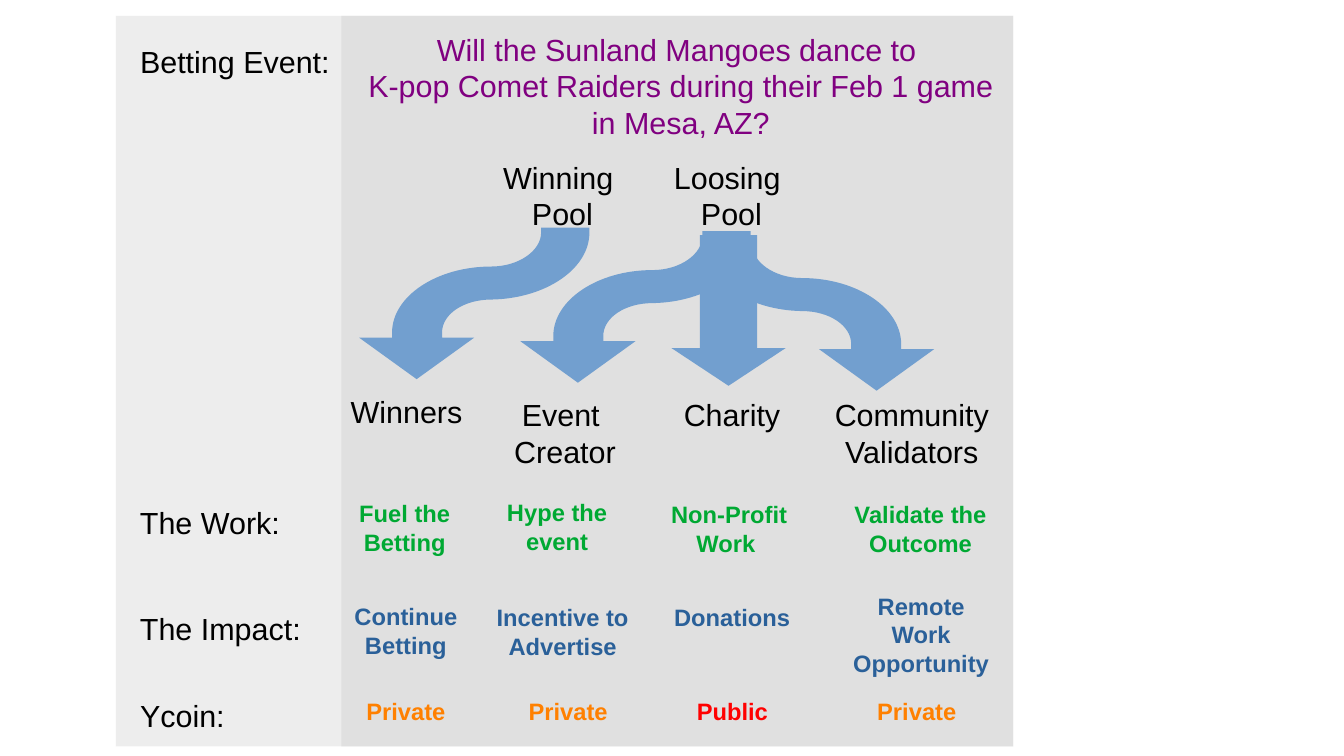
from dataclasses import dataclass

import pptx
import pptx.dml.color
import pptx.enum.shapes
import pptx.enum.text
import pptx.oxml
import pptx.oxml.ns
import pptx.util

Pt = pptx.util.Pt
qn = pptx.oxml.ns.qn
SHAPE = pptx.enum.shapes.MSO_SHAPE
ALIGN = pptx.enum.text.PP_ALIGN

COLORS = {
    "panel": "DDDDDD", "arrow": "729FCF", "black": "000000", "question": "800080",
    "work": "00A933", "impact": "2A6099", "private": "FF8000", "public": "FF0000",
}


@dataclass
class Panel:
    left: float
    width: float
    opacity: int


@dataclass
class CurvedArrow:
    outer: float  # x of the outer edge of the head
    top: float
    direction: int  # 1: stem right of the head, -1: stem left of it


@dataclass
class Style:
    size: int
    bold: bool = False
    wrap: bool = False
    centred: bool = True


@dataclass
class Label:
    left: float
    top: float
    width: float
    height: float
    text: str
    style: Style
    color: str = "black"


ROW = Style(18, centred=False)
HEADING = Style(18)
QUESTION = Style(18, wrap=True)
CELL = Style(14, bold=True, wrap=True)

PANELS = [Panel(68.4, 530, 50), Panel(201.6, 396.8, 80)]
CURVED_ARROWS = [
    CurvedArrow(551.7, 141.2, -1),
    CurvedArrow(307.3, 136.5, 1),
    CurvedArrow(212.1, 134.4, 1),
]

# One point makes a line, three a cubic curve; measured from the head's outer edge
ARROW_START = (19.5, 62)
ARROW_OUTLINE = [
    [(19.5, 40.5), (46, 23), (78, 23)],
    [(94.5, 23), (107.5, 13.5), (107.5, 3)],
    [(107.5, 0)], [(136, 0)], [(136, 3)],
    [(136, 24.5), (110, 42), (78, 42.5)],
    [(62, 42.5), (49, 51), (49, 62)],
    [(49, 65)], [(68, 65)], [(34, 89.5)], [(0, 65)], [(19.5, 65)],
]

LABELS = [
    # Row names
    Label(75.6, 21.6, 134, 27.4, "Betting Event:", ROW),
    Label(75.6, 294.2, 105, 27.4, "The Work:", ROW),
    Label(75.6, 356.8, 117, 27.4, "The Impact:", ROW),
    Label(75.6, 408.2, 76, 27.4, "Ycoin:", ROW),
    # Question and pools
    Label(205.2, 14.6, 393.8, 67.7,
          "Will the Sunland Mangoes dance to \n"
          "K-pop Comet Raiders during their Feb 1 game in Mesa, AZ?", QUESTION, "question"),
    Label(282.2, 90.2, 100, 47.5, "Winning \nPool", HEADING),
    Label(382, 90.2, 100, 47.5, "Loosing \nPool", HEADING),
    # Recipients
    Label(190.1, 228.5, 100, 27.4, "Winners", HEADING),
    Label(283.7, 230.6, 100, 47.5, "Event \nCreator", HEADING),
    Label(382.3, 230.4, 100, 27.4, "Charity", HEADING),
    Label(478.5, 230.6, 120, 47.5, "Community\nValidators", HEADING),
    # The work
    Label(200.9, 291.2, 76.3, 38.9, "Fuel the Betting", CELL, "work"),
    Label(290.9, 290.6, 76.3, 38.9, "Hype the event", CELL, "work"),
    Label(387.4, 291.6, 86.4, 54, "Non-Profit Work ", CELL, "work"),
    Label(495.4, 291.6, 96.5, 54, "Validate the Outcome", CELL, "work"),
    # The impact
    Label(201.6, 352.1, 76.3, 38.9, "Continue Betting", CELL, "impact"),
    Label(283.7, 352.6, 97.2, 69.8, "Incentive to Advertise", CELL, "impact"),
    Label(383.8, 352.6, 97.2, 69.8, "Donations", CELL, "impact"),
    Label(495.4, 345.8, 97.2, 69.8, "Remote Work Opportunity", CELL, "impact"),
    # Visibility
    Label(201.6, 408, 76.3, 27.4, "Private", CELL, "private"),
    Label(297.4, 408, 76.3, 27.4, "Private", CELL, "private"),
    Label(394.4, 408, 76.3, 27.4, "Public", CELL, "public"),
    Label(503.3, 408, 76.3, 27.4, "Private", CELL, "private"),
]


def rgb(name: str) -> pptx.dml.color.RGBColor:
    return pptx.dml.color.RGBColor.from_string(COLORS[name])


def paint(sp, color: str) -> None:
    sp.shadow.inherit = False
    sp.fill.solid()
    sp.fill.fore_color.rgb = rgb(color)
    sp.line.fill.background()


def add_panel(s, panel: Panel) -> None:
    sp = s.shapes.add_shape(SHAPE.RECTANGLE, Pt(panel.left), Pt(9.4), Pt(panel.width), Pt(431.3))
    paint(sp, "panel")
    alpha = pptx.oxml.parse_xml(
        f'<a:alpha {pptx.oxml.ns.nsdecls("a")} val="{panel.opacity * 1000}"/>')
    sp.element.spPr.find(".//" + qn("a:srgbClr")).append(alpha)


def add_curved_arrow(s, arrow: CurvedArrow) -> None:
    def place(point: tuple[float, float]) -> tuple[int, int]:
        return Pt(arrow.outer + arrow.direction * point[0]), Pt(arrow.top + point[1])

    builder = s.shapes.build_freeform(*place(ARROW_START))
    points = [place(point) for part in ARROW_OUTLINE for point in part]
    builder.add_line_segments(points, close=True)
    sp = builder.convert_to_shape()
    paint(sp, "arrow")

    # Join each run of three points into one cubic curve
    segments = iter(list(sp.element.iter(qn("a:lnTo"))))
    for part in ARROW_OUTLINE:
        first, *others = [next(segments) for _ in part]
        if others:
            curve = pptx.oxml.parse_xml(f'<a:cubicBezTo {pptx.oxml.ns.nsdecls("a")}/>')
            first.addprevious(curve)
            for segment in (first, *others):
                curve.append(segment[0])
                segment.getparent().remove(segment)


def add_down_arrow(s) -> None:
    sp = s.shapes.add_shape(SHAPE.DOWN_ARROW, Pt(396.5), Pt(138.8), Pt(67.5), Pt(89))
    sp.adjustments[0] = 0.5
    sp.adjustments[1] = 0.33
    paint(sp, "arrow")


def add_label(s, label: Label) -> None:
    style = label.style
    sp = s.shapes.add_textbox(Pt(label.left), Pt(label.top), Pt(label.width), Pt(label.height))
    tf = sp.text_frame
    tf.word_wrap = style.wrap
    p = tf.paragraphs[0]
    p.alignment = ALIGN.CENTER if style.centred else ALIGN.LEFT
    for i, line in enumerate(label.text.split("\n")):
        if i:
            p.add_line_break()
        r = p.add_run()
        r.text = line
        r.font.name = "Arial"
        r.font.size = Pt(style.size)
        r.font.bold = style.bold
        r.font.color.rgb = rgb(label.color)


def main() -> None:
    prs = pptx.Presentation()
    prs.slide_width, prs.slide_height = Pt(793.7), Pt(446.4)
    s = prs.slides.add_slide(prs.slide_layouts[6])
    for panel in PANELS:
        add_panel(s, panel)
    for arrow in CURVED_ARROWS:
        add_curved_arrow(s, arrow)
    add_down_arrow(s)
    for label in LABELS:
        add_label(s, label)
    prs.save("out.pptx")


if __name__ == "__main__":
    main()
